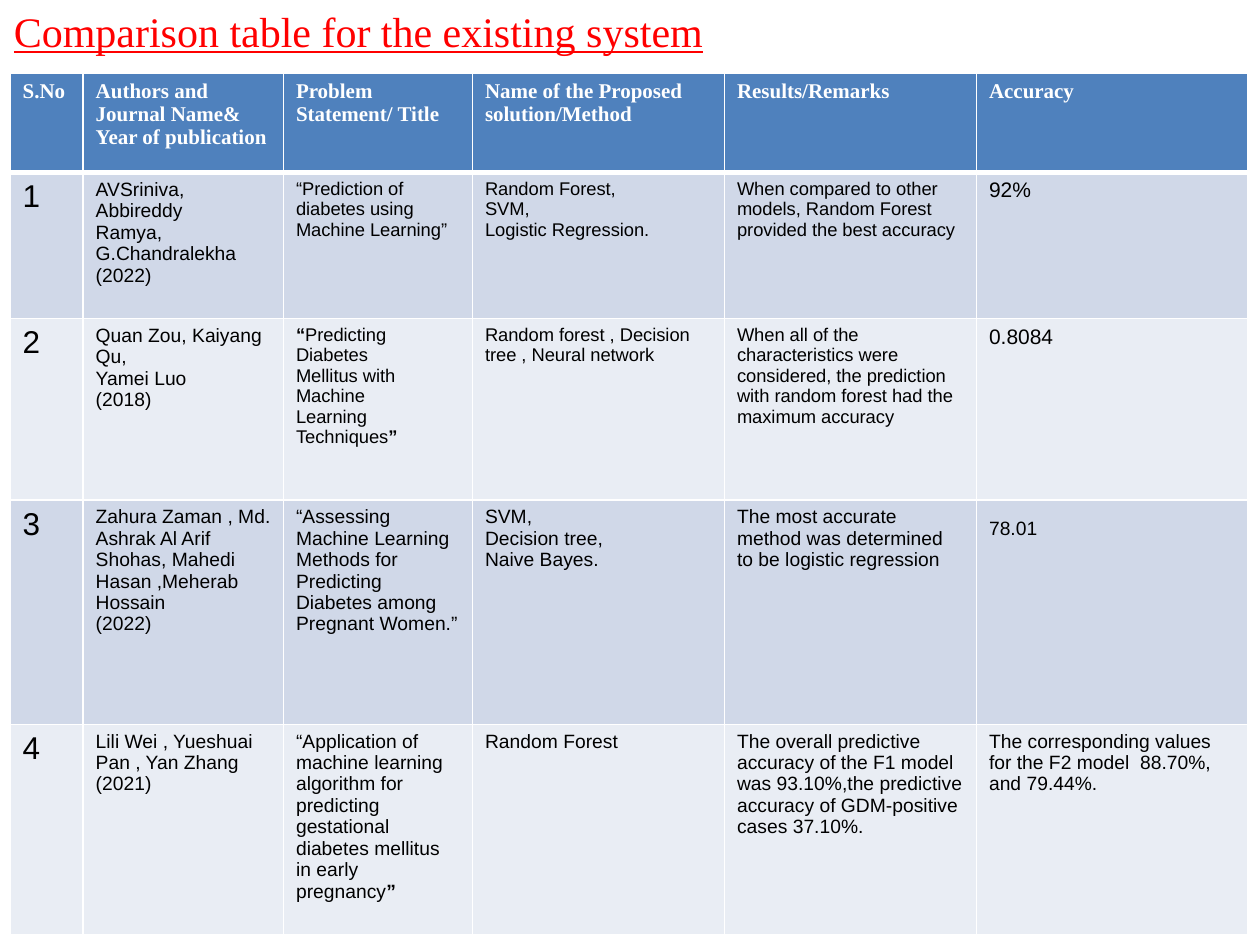
from dataclasses import dataclass

from lxml.etree import SubElement
from pptx import Presentation
from pptx.dml.color import RGBColor
from pptx.enum.text import MSO_ANCHOR, MSO_AUTO_SIZE, PP_ALIGN
from pptx.oxml.ns import qn
from pptx.util import Inches, Pt


@dataclass(frozen=True)
class Theme:
    heading_font: str = "Times New Roman"
    body_font: str = "Arial"
    title_color: str = "FF0000"
    header_fill: str = "4F81BD"
    bands: tuple = ("D0D8E8", "E9EDF4")
    white: str = "FFFFFF"
    black: str = "000000"
    title_size: float = 24
    header_size: float = 12
    number_size: float = 18
    author_size: float = 11
    small: float = 10.5
    medium: float = 11
    large: float = 12


THEME = Theme()


@dataclass(frozen=True)
class Run:
    text: str
    bold: bool = False
    size: float = None


@dataclass(frozen=True)
class Study:
    """One table row; each entry lists paragraphs, and a tuple holds runs."""
    authors: list
    problem: list
    method: list
    remarks: list
    accuracy: list
    text_size: float
    accuracy_size: float


# Content
TITLE = "Comparison table for the existing system"
HEADERS = ["S.No", "Authors and Journal Name& Year of publication",
           "Problem Statement/ Title", "Name of the Proposed solution/Method",
           "Results/Remarks", "Accuracy"]
STUDIES = [
    Study(["AVSriniva,", "Abbireddy", "Ramya,", "G.Chandralekha", "(2022)"],
          ["“Prediction of diabetes using Machine Learning”"],
          ["Random Forest,", "SVM,", "Logistic Regression."],
          ["When compared to other models, Random Forest provided the best accuracy"],
          ["92%"], THEME.small, THEME.large),
    Study(["Quan Zou, Kaiyang Qu,", "Yamei Luo", "(2018)"],
          [(Run("“", bold=True), Run("Predicting")), "Diabetes", "Mellitus with",
           "Machine", "Learning", (Run("Techniques"), Run("”", bold=True))],
          ["Random forest , Decision tree , Neural network"],
          ["When all of the characteristics were considered, the prediction "
           "with random forest had the maximum accuracy"],
          ["0.8084"], THEME.small, THEME.large),
    Study(["Zahura Zaman , Md. Ashrak Al Arif Shohas, Mahedi Hasan ,Meherab Hossain",
           "(2022)"],
          ["“Assessing Machine Learning Methods for Predicting Diabetes among "
           "Pregnant Women.”"],
          ["SVM,", "Decision tree,", "Naive Bayes."],
          ["The most accurate method was determined to be logistic regression"],
          [(Run("78.01 "), Run(" ", size=THEME.number_size))],
          THEME.medium, THEME.medium),
    Study(["Lili Wei , Yueshuai Pan , Yan Zhang", "(2021)"],
          [(Run("“Application of machine learning algorithm for predicting "
                "gestational diabetes mellitus in early pregnancy"),
            Run("”", bold=True))],
          ["Random Forest"],
          ["The overall predictive accuracy of the F1 model was 93.10%,the "
           "predictive accuracy of GDM-positive cases 37.10%."],
          ["The corresponding values for the F2 model  88.70%, and 79.44%."],
          THEME.medium, THEME.medium),
]
COLUMN_WIDTHS = [0.58, 1.59, 1.5, 2, 2, 2.15]
ROW_HEIGHTS = [0.79, 1.16, 1.44, 1.78, 1.67]


def add_run(paragraph, text, font, size, color, bold=False):
    run = paragraph.add_run()
    run.text = text
    run.font.name = font
    run.font.size = Pt(size)
    run.font.bold = bold
    run.font.color.rgb = RGBColor.from_string(color)
    return run


def add_title(slide):
    title = slide.shapes.title
    title.left, title.top = Inches(0.01), Inches(-0.01)
    title.width, title.height = Inches(9.83), Inches(0.5)
    frame = title.text_frame
    frame.word_wrap = True
    frame.auto_size = MSO_AUTO_SIZE.NONE
    frame.vertical_anchor = MSO_ANCHOR.TOP
    paragraph = frame.paragraphs[0]
    paragraph.alignment = PP_ALIGN.LEFT
    heading = add_run(paragraph, TITLE, THEME.heading_font, THEME.title_size,
                      THEME.title_color)
    heading.font.underline = True


def set_borders(cell, bottom_width):
    properties = cell._tc.get_or_add_tcPr()
    for side, width in (("L", 1), ("R", 1), ("T", 1), ("B", bottom_width)):
        line = SubElement(properties, qn(f"a:ln{side}"), w=str(Pt(width)))
        fill = SubElement(line, qn("a:solidFill"))
        SubElement(fill, qn("a:srgbClr"), val=THEME.white)


def fill_cell(cell, paragraphs, fill, font, size, color, bold=False, bottom_width=1):
    set_borders(cell, bottom_width)
    cell.fill.solid()
    cell.fill.fore_color.rgb = RGBColor.from_string(fill)
    frame = cell.text_frame
    for index, content in enumerate(paragraphs):
        paragraph = frame.add_paragraph() if index else frame.paragraphs[0]
        runs = (Run(content, bold),) if isinstance(content, str) else content
        for run in runs:
            add_run(paragraph, run.text, font, run.size or size, color, run.bold)


def add_comparison_table(slide):
    width, height = Inches(9.83), Inches(6.88)
    holder = slide.shapes.add_table(len(ROW_HEIGHTS), len(COLUMN_WIDTHS),
                                    Inches(0.08), Inches(0.58), width, height)
    table = holder.table
    for column, inches in zip(table.columns, COLUMN_WIDTHS):
        column.width = Inches(inches)
    for row, inches in zip(table.rows, ROW_HEIGHTS):
        row.height = Inches(inches)
    holder.width, holder.height = width, height

    # Header row
    for cell, heading in zip(table.rows[0].cells, HEADERS):
        fill_cell(cell, [heading], THEME.header_fill, THEME.heading_font,
                  THEME.header_size, THEME.white, bold=True, bottom_width=3)

    # One banded row per study
    for number, study in enumerate(STUDIES, start=1):
        entries = [([str(number)], THEME.number_size),
                   (study.authors, THEME.author_size),
                   (study.problem, study.text_size),
                   (study.method, study.text_size),
                   (study.remarks, study.text_size),
                   (study.accuracy, study.accuracy_size)]
        band = THEME.bands[(number - 1) % len(THEME.bands)]
        for cell, (paragraphs, size) in zip(table.rows[number].cells, entries):
            fill_cell(cell, paragraphs, band, THEME.body_font, size, THEME.black)


def main():
    deck = Presentation()
    deck.slide_width, deck.slide_height = Inches(10), Inches(7.5)
    title_only = deck.slide_layouts[5]
    slide = deck.slides.add_slide(title_only)
    add_title(slide)
    add_comparison_table(slide)
    deck.save("out.pptx")


if __name__ == "__main__":
    main()
